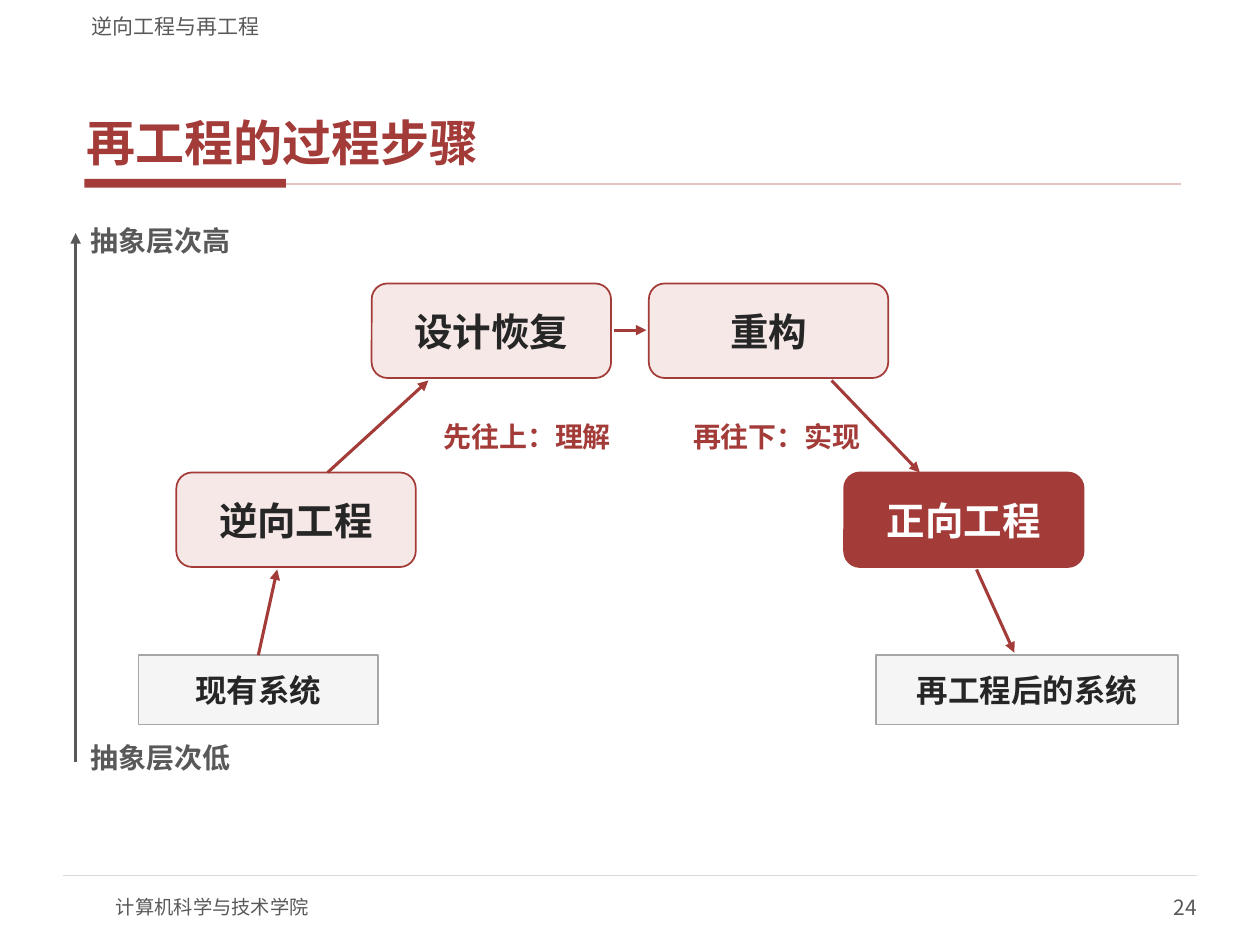
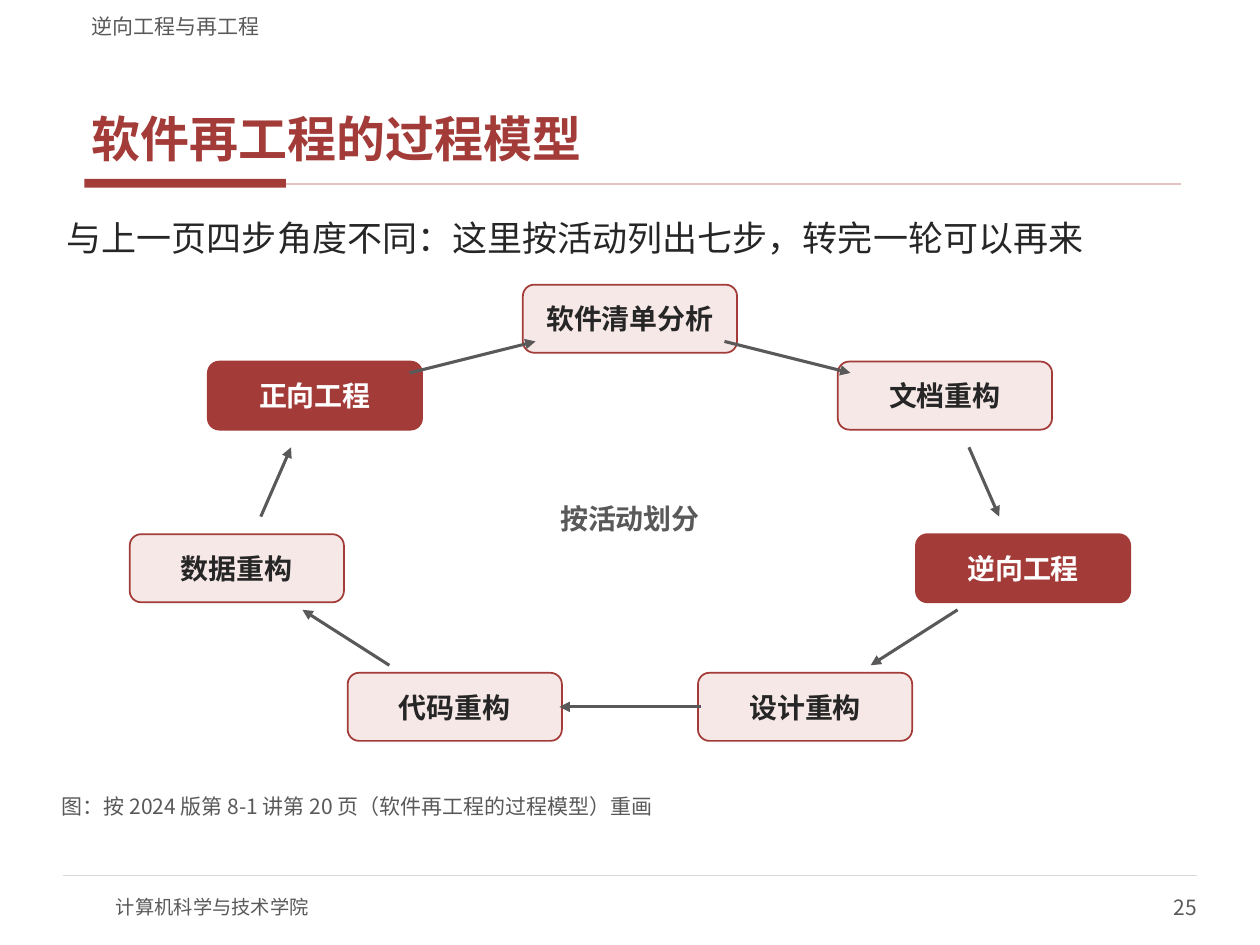
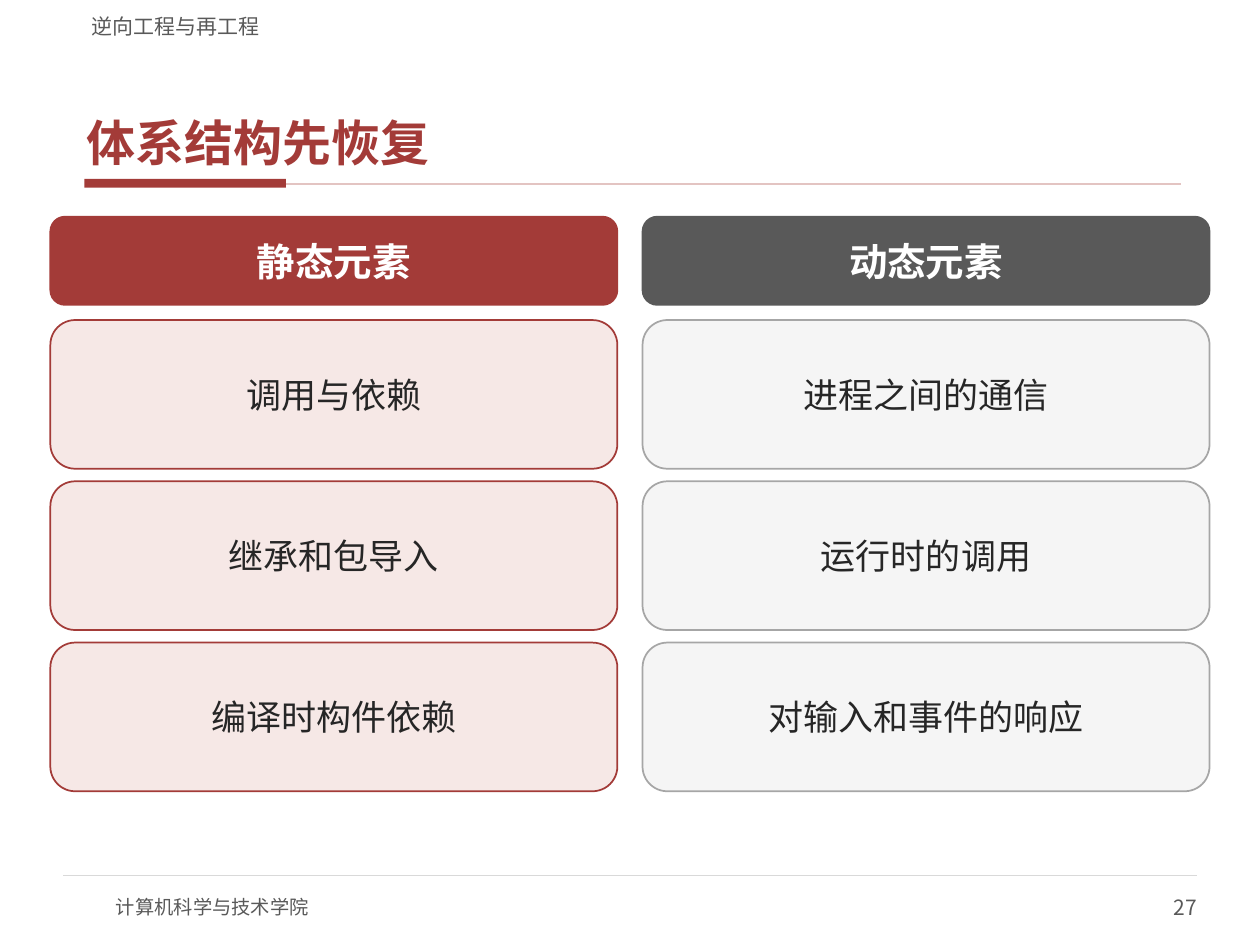
from dataclasses import dataclass
from math import cos, pi, sin

from lxml import etree
from pptx import Presentation
from pptx.dml.color import RGBColor
from pptx.enum.shapes import MSO_CONNECTOR, MSO_SHAPE
from pptx.enum.text import MSO_ANCHOR, PP_ALIGN
from pptx.oxml.ns import qn
from pptx.util import Pt

RECT, ROUNDED = MSO_SHAPE.RECTANGLE, MSO_SHAPE.ROUNDED_RECTANGLE
STRAIGHT = MSO_CONNECTOR.STRAIGHT
LEFT, CENTER, RIGHT = PP_ALIGN.LEFT, PP_ALIGN.CENTER, PP_ALIGN.RIGHT
TOP, MIDDLE, BOTTOM = MSO_ANCHOR.TOP, MSO_ANCHOR.MIDDLE, MSO_ANCHOR.BOTTOM

PX = 9144  # EMU in one px: 100 px to the inch
SLIDE_W, SLIDE_H = 1000, 750


@dataclass(frozen=True)
class Theme:
    font: str = "Noto Sans CJK SC"
    # Colours
    red: str = "A33B38"
    blush: str = "F6E8E6"
    rose: str = "E3C4C2"
    ink: str = "262626"
    slate: str = "595959"
    steel: str = "A6A6A6"
    mist: str = "F5F5F5"
    hairline: str = "D9D9D9"
    white: str = "FFFFFF"
    # Type sizes in points
    title: int = 28
    step: int = 22
    body: int = 20
    system: int = 18
    label: int = 16
    small: int = 12
    school: int = 11


T = Theme()

# Box styles: fill, line, text colour
SOFT = (T.blush, T.red, T.ink)
STRONG = (T.red, T.red, T.white)
PLAIN = (T.mist, T.steel, T.ink)
DARK = (T.slate, T.slate, T.white)


@dataclass(frozen=True)
class Box:
    x: int
    y: int
    w: int
    h: int

    def inner(self, x, y, w, h):
        """A box placed relative to this one."""
        return Box(self.x + x, self.y + y, w, h)

    def emu(self):
        return [v * PX for v in (self.x, self.y, self.w, self.h)]


def rgb(value):
    return RGBColor.from_string(value)


def apply(target, values):
    for name, value in values.items():
        setattr(target, name, value)


# Drawing helpers
def write(shape, text, size, color, bold=False, align=LEFT, anchor=MIDDLE,
          pad=(2, 1), **paragraph_format):
    frame = shape.text_frame
    side, edge = (v * PX for v in pad)
    apply(frame, {
        "word_wrap": True, "vertical_anchor": anchor,
        "margin_left": side, "margin_right": side,
        "margin_top": edge, "margin_bottom": edge,
    })
    paragraph = frame.paragraphs[0]
    apply(paragraph, {"alignment": align, **paragraph_format})
    run = paragraph.add_run()
    run.text = text
    apply(run.font, {"name": T.font, "size": Pt(size), "bold": bold})
    run.font.color.rgb = rgb(color)
    east_asian = etree.SubElement(run._r.get_or_add_rPr(), qn("a:ea"))
    east_asian.set("typeface", T.font)


def label(slide, box, text, size, color, **text_format):
    write(slide.shapes.add_textbox(*box.emu()), text, size, color, **text_format)


def panel(slide, box, style, kind=ROUNDED):
    fill, line, _ = style
    shape = slide.shapes.add_shape(kind, *box.emu())
    shape.shadow.inherit = False
    shape.fill.solid()
    shape.fill.fore_color.rgb = rgb(fill)
    if line:
        shape.line.color.rgb = rgb(line)
        shape.line.width = Pt(1)
    else:
        shape.line.fill.background()
    return shape


def node(slide, box, text, size, style, kind=ROUNDED, bold=True, pad=(8, 4)):
    write(panel(slide, box, style, kind), text, size, style[2],
          bold=bold, align=CENTER, pad=pad)


def rule(slide, start, end, color, width, arrow=False):
    ends = [round(v) * PX for v in (*start, *end)]
    connector = slide.shapes.add_connector(STRAIGHT, *ends)
    connector.line.color.rgb = rgb(color)
    connector.line.width = Pt(width)
    properties = connector._element.spPr
    if arrow:
        head = etree.SubElement(properties.find(qn("a:ln")), qn("a:tailEnd"))
        head.set("type", "triangle")
    etree.SubElement(properties, qn("a:effectLst"))


# Regions shared by all slides
def header(slide, box, title, title_format):
    label(slide, box.inner(0, 0, 875, 27), "逆向工程与再工程", T.small, T.slate,
          anchor=BOTTOM, pad=(10, 0))
    label(slide, box.inner(0, 29, 875, 105), title, T.title, T.red,
          bold=True, anchor=BOTTOM, **title_format)
    panel(slide, box.inner(4, 138, 160, 7), (T.red, None, None), RECT)
    y = box.y + 142
    rule(slide, (box.x + 164, y), (box.x + box.w, y), T.rose, 1)


def footer(slide, box, number):
    rule(slide, (box.x, box.y), (box.x + box.w, box.y), T.hairline, 0.75)
    label(slide, box.inner(42, 5, 400, 40), "计算机科学与技术学院",
          T.school, T.slate, pad=(0, 0))
    label(slide, box.inner(box.w - 200, 5, 200, 40), str(number),
          T.small, T.slate, align=RIGHT, pad=(0, 0))


SPACED_TITLE = {"pad": (6, 2), "space_after": Pt(2)}
TIGHT_TITLE = {"pad": (10, 5), "line_spacing": 0.9}


def new_slide(deck, number, title, title_format=SPACED_TITLE):
    slide = deck.slides.add_slide(deck.slide_layouts[6])
    header(slide, Box(63, 4, 874, 145), title, title_format)
    footer(slide, Box(50, 695, 900, 45), number)
    return slide


# Re-engineering steps, climbing and descending the abstraction axis
def abstraction_flow(slide, box):
    rule(slide, (box.x, box.y + 430), (box.x, box.y + 10), T.slate, 1.5, arrow=True)
    for text, y in (("抽象层次高", 0), ("抽象层次低", 410)):
        label(slide, box.inner(10, y, 160, 32), text, T.label, T.slate, bold=True)

    for text, x, width in (("现有系统", 50, 190), ("再工程后的系统", 635, 240)):
        node(slide, box.inner(x, 345, width, 55), text, T.system, PLAIN, RECT)
    for text, x, y, style in (
        ("逆向工程", 80, 200, SOFT),
        ("设计恢复", 235, 50, SOFT),
        ("重构", 455, 50, SOFT),
        ("正向工程", 610, 200, STRONG),
    ):
        node(slide, box.inner(x, y, 190, 75), text, T.step, style)

    for x1, y1, x2, y2 in (
        (145, 345, 160, 277),
        (200, 200, 280, 127),
        (427, 87, 453, 87),
        (600, 127, 670, 200),
        (715, 277, 745, 343),
    ):
        rule(slide, (box.x + x1, box.y + y1), (box.x + x2, box.y + y2),
             T.red, 1.75, arrow=True)
    for text, x, align in (("先往上：理解", 290, LEFT), ("再往下：实现", 465, RIGHT)):
        label(slide, box.inner(x, 155, 160, 32), text, T.label, T.red,
              bold=True, align=align)


# Activities spaced evenly round an ellipse
def activity_ring(slide, box, activities, highlighted):
    node_w, node_h = 170, 54
    center_x, center_y = box.w / 2, box.h / 2
    radius_x, radius_y = (box.w - node_w) / 2, (box.h - node_h) / 2
    count = len(activities)
    centers = [(center_x + radius_x * sin(2 * pi * i / count),
                center_y - radius_y * cos(2 * pi * i / count))
               for i in range(count)]

    for text, (x, y) in zip(activities, centers):
        place = box.inner(round(x - node_w / 2), round(y - node_h / 2), node_w, node_h)
        node(slide, place, text, T.label,
             STRONG if text in highlighted else SOFT, pad=(4, 2))

    # Each arrow covers the middle of the way to the next activity
    for (x1, y1), (x2, y2) in zip(centers, centers[1:] + centers[:1]):
        start, end = ((box.x + x1 + (x2 - x1) * share, box.y + y1 + (y2 - y1) * share)
                      for share in (0.3, 0.7))
        rule(slide, start, end, T.slate, 1.75, arrow=True)

    label(slide, box.inner(round(center_x) - 120, 169, 240, 32), "按活动划分",
          T.label, T.slate, bold=True, align=CENTER)


# One heading with its cards below
def element_column(slide, box, heading, cards, heading_style, card_style):
    heading_h, card_h, heading_gap, card_gap = 70, 118, 12, 10
    node(slide, box.inner(0, 0, box.w, heading_h), heading, T.step, heading_style)
    for i, text in enumerate(cards):
        y = heading_h + heading_gap + i * (card_h + card_gap)
        node(slide, box.inner(0, y, box.w, card_h), text, T.body, card_style, bold=False)


# Slides
def steps_slide(deck):
    slide = new_slide(deck, 24, "再工程的过程步骤")
    abstraction_flow(slide, Box(60, 175, 875, 442))


def model_slide(deck):
    slide = new_slide(deck, 25, "软件再工程的过程模型", TIGHT_TITLE)
    label(slide, Box(45, 168, 910, 45),
          "与上一页四步角度不同：这里按活动列出七步，转完一轮可以再来",
          T.body, T.ink, anchor=TOP, pad=(8, 4))
    activity_ring(slide, Box(95, 226, 810, 378),
                  ["软件清单分析", "文档重构", "逆向工程", "设计重构",
                   "代码重构", "数据重构", "正向工程"],
                  {"逆向工程", "正向工程"})
    label(slide, Box(45, 630, 910, 22),
          "图：按 2024 版第 8-1 讲第 20 页（软件再工程的过程模型）重画",
          T.small, T.slate, anchor=BOTTOM, pad=(4, 2))


def elements_slide(deck):
    slide = new_slide(deck, 27, "体系结构先恢复")
    columns = (
        ("静态元素", ["调用与依赖", "继承和包导入", "编译时构件依赖"], STRONG, SOFT),
        ("动态元素", ["进程之间的通信", "运行时的调用", "对输入和事件的响应"], DARK, PLAIN),
    )
    for i, column in enumerate(columns):
        element_column(slide, Box(40 + i * 470, 172, 450, 456), *column)


def main():
    deck = Presentation()
    apply(deck, {"slide_width": SLIDE_W * PX, "slide_height": SLIDE_H * PX})
    for build in (steps_slide, model_slide, elements_slide):
        build(deck)
    deck.save("out.pptx")


if __name__ == "__main__":
    main()
